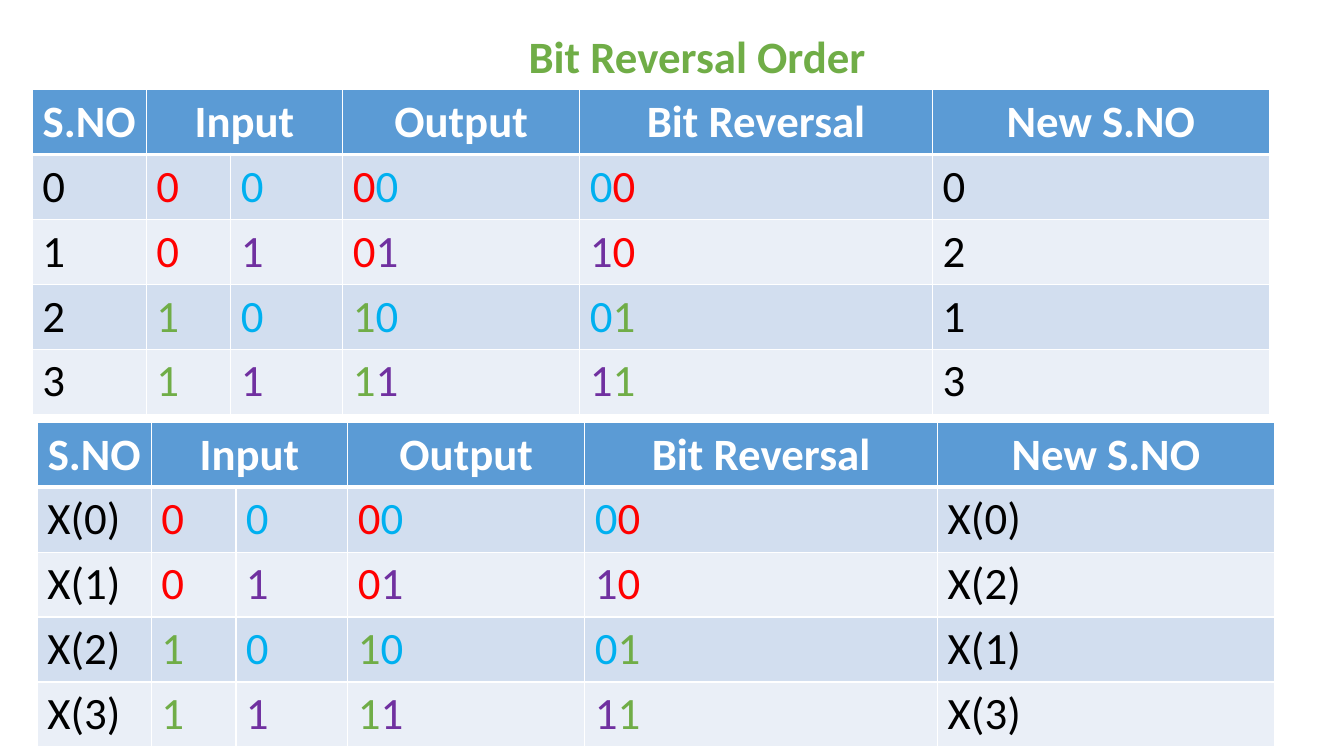
from lxml import etree
from pptx import Presentation
from pptx.dml.color import RGBColor
from pptx.enum.text import PP_ALIGN
from pptx.oxml.ns import qn
from pptx.util import Inches, Pt

CENTER = PP_ALIGN.CENTER
LEFT = PP_ALIGN.LEFT

TITLE = "Bit Reversal Order"
HEADERS = ["S.NO", "Input", "", "Output", "Bit Reversal", "New S.NO"]
BIT_PAIRS = ["00", "01", "10", "11"]
TABLES = [
    {"left": 0.32, "top": 0.89, "label": "{}"},
    {"left": 0.37, "top": 4.19, "label": "X({})"},
]
COLUMN_WIDTHS = [1.13, 0.84, 1.11, 2.35, 3.5, 3.34]
ROW_HEIGHT = 0.64
FONT = "Calibri"
FONT_SIZE = 32
COLORS = {
    "header": "5B9BD5",
    "band_dark": "D2DEEF",
    "band_light": "EAEFF7",
    "white": "FFFFFF",
    "black": "000000",
    "title": "70AD47",
}
HIGH_BIT_COLORS = {"0": "FF0000", "1": "70AD47"}
LOW_BIT_COLORS = {"0": "00B0F0", "1": "7030A0"}


def add_runs(paragraph, runs, bold=False, alignment=LEFT):
    paragraph.alignment = alignment
    for text, color in runs:
        run = paragraph.add_run()
        run.text = text
        run.font.name = FONT
        run.font.size = Pt(FONT_SIZE)
        run.font.bold = bold
        run.font.color.rgb = RGBColor.from_string(color)


def style_cell(cell, fill, top_width, bottom_width):
    properties = cell._tc.get_or_add_tcPr()
    widths = {"a:lnL": 1, "a:lnR": 1, "a:lnT": top_width, "a:lnB": bottom_width}
    for tag, width in widths.items():
        line = etree.SubElement(properties, qn(tag), w=str(Pt(width)))
        solid = etree.SubElement(line, qn("a:solidFill"))
        etree.SubElement(solid, qn("a:srgbClr"), val=COLORS["white"])
    cell.fill.solid()
    cell.fill.fore_color.rgb = RGBColor.from_string(fill)


def body_row(number, bits, label):
    high = (bits[0], HIGH_BIT_COLORS[bits[0]])
    low = (bits[1], LOW_BIT_COLORS[bits[1]])
    new_number = int(bits[::-1], 2)
    return [
        [(label.format(number), COLORS["black"])],
        [high],
        [low],
        [high, low],
        [low, high],
        [(label.format(new_number), COLORS["black"])],
    ]


def add_bit_table(slide, left, top, label):
    rows = [[[(text, COLORS["white"])] if text else [] for text in HEADERS]]
    rows += [body_row(number, bits, label) for number, bits in enumerate(BIT_PAIRS)]
    table = slide.shapes.add_table(
        len(rows), len(HEADERS), Inches(left), Inches(top),
        Inches(sum(COLUMN_WIDTHS)), Inches(ROW_HEIGHT * len(rows)),
    ).table
    for column, width in zip(table.columns, COLUMN_WIDTHS):
        column.width = Inches(width)
    table.cell(0, 1).merge(table.cell(0, 2))
    for row_index, row in enumerate(rows):
        table.rows[row_index].height = Inches(ROW_HEIGHT)
        is_header = row_index == 0
        band = COLORS["band_dark"] if row_index % 2 else COLORS["band_light"]
        fill = COLORS["header"] if is_header else band
        for column_index, runs in enumerate(row):
            cell = table.cell(row_index, column_index)
            style_cell(cell, fill, 3 if row_index == 1 else 1, 3 if is_header else 1)
            add_runs(cell.text_frame.paragraphs[0], runs, is_header,
                     CENTER if is_header else LEFT)


def main():
    presentation = Presentation()
    presentation.slide_width = Inches(13.33)
    presentation.slide_height = Inches(7.5)
    slide = presentation.slides.add_slide(presentation.slide_layouts[6])
    for table in TABLES:
        add_bit_table(slide, **table)
    title = slide.shapes.add_textbox(Inches(1.43), Inches(0.24), Inches(10.97), Inches(0.64))
    title.text_frame.word_wrap = True
    add_runs(title.text_frame.paragraphs[0], [(TITLE, COLORS["title"])], True, CENTER)
    presentation.save("out.pptx")


if __name__ == "__main__":
    main()
